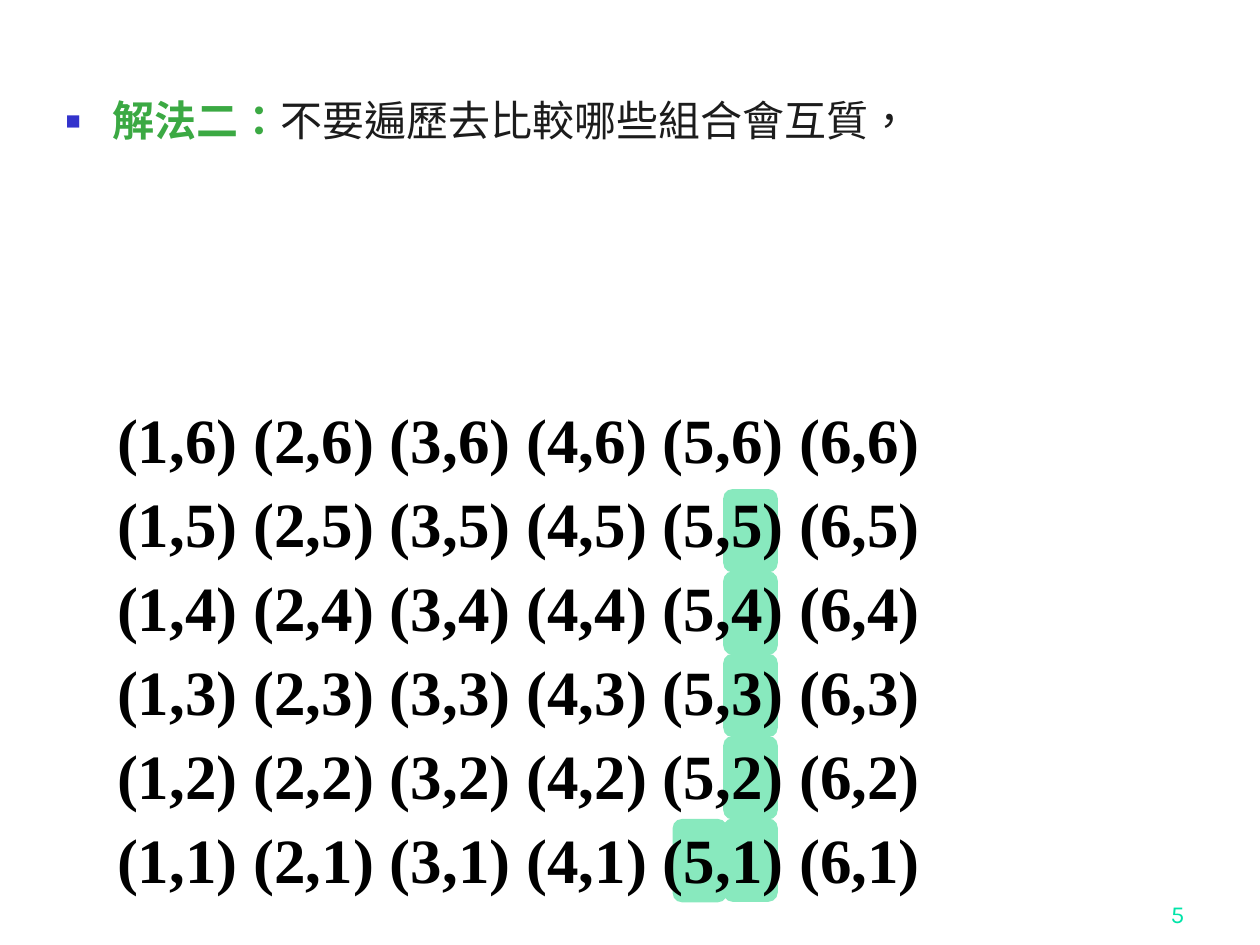
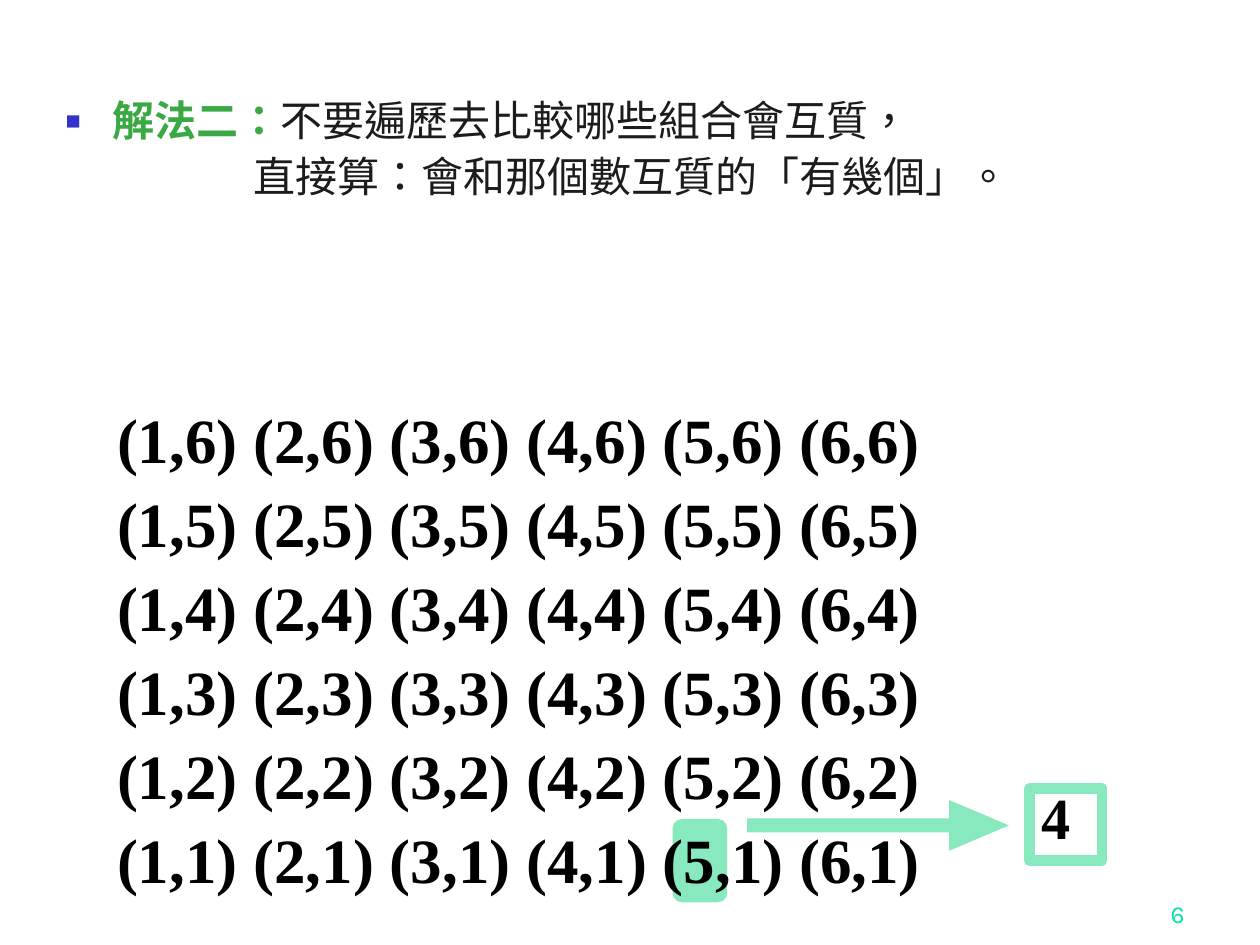
from lxml.etree import SubElement
from pptx import Presentation
from pptx.dml.color import RGBColor
from pptx.enum.lang import MSO_LANGUAGE_ID
from pptx.enum.shapes import MSO_SHAPE
from pptx.enum.text import MSO_ANCHOR, MSO_AUTO_SIZE, PP_ALIGN
from pptx.oxml.ns import qn
from pptx.util import Cm, Pt

# Content
COLOURS = {"mint": "88E9BE", "number": "00E4A8", "label": "3BA943",
           "text": "1C1C1C", "black": "000000", "bullet": "3333CC"}
LABEL = "解法二："
IDEA = "不要遍歷去比較哪些組合會互質，"
SIDES = range(1, 7)
PAIR_ROWS = [" ".join(f"({first},{second})" for first in SIDES)
             for second in reversed(SIDES)]
PAGES = [
    {"number": "5", "tested": 5},
    {"number": "6", "tested": 0, "answer": "4",
     "conclusion": "直接算：會和那個數互質的「有幾個」。"},
]

# Places in centimetres: left, top, width, height
BODY = (1.07, 1.9, 22.43, 15.62)
PAIRS = (2.11, 8.13, 17.2, 10.41)
NUMBER = (18.85, 17.58, 5.28, 1.27)
ARROW = (15.06, 16.13, 5.28, 1.02)
ANSWER = (20.75, 15.9, 1.47, 1.45)
CHOSEN_FIVE = (13.56, 16.51)
TESTED_TOP = (14.58, 9.86)
TESTED_STEP = 1.66
MARK_SIZE = (1.1, 1.68)

# Text formats
SERIF = "Times New Roman"
CHINESE = {"name": SERIF, "size": Pt(24),
           "language_id": MSO_LANGUAGE_ID.TRADITIONAL_CHINESE}
LABEL_FONT = {**CHINESE, "bold": True, "colour": "label"}
IDEA_FONT = {**CHINESE, "bold": False, "colour": "text"}
PAIR_FONT = {"name": SERIF, "size": Pt(36), "bold": True, "colour": "black"}
ANSWER_FONT = {**PAIR_FONT, "size": Pt(33.3)}
NUMBER_FONT = {"name": "Karla", "size": Pt(14), "colour": "number"}


def rgb(name):
    return RGBColor.from_string(COLOURS[name])


def lengths(place):
    return [Cm(value) for value in place]


def set_values(target, **values):
    for name, value in values.items():
        setattr(target, name, value)


def add_span(para, text, font):
    span = para.add_run()
    span.text = text
    for name, value in font.items():
        if name == "colour":
            span.font.color.rgb = rgb(value)
        else:
            setattr(span.font, name, value)


def next_para(frame, position, space):
    """Return the paragraph at a position, spaced from the one before."""
    if position == 0:
        return frame.paragraphs[0]
    para = frame.add_paragraph()
    para.space_before = Pt(space)
    return para


def set_bullet(para, left, hanging, character=None):
    properties = para._p.get_or_add_pPr()
    properties.set("marL", str(Cm(left)))
    properties.set("indent", str(-Cm(hanging)))
    if character is None:
        SubElement(properties, qn("a:buNone"))
        return
    colour = SubElement(properties, qn("a:buClr"))
    SubElement(colour, qn("a:srgbClr"), val=COLOURS["bullet"])
    SubElement(properties, qn("a:buSzPct"), val="60000")
    SubElement(properties, qn("a:buChar"), char=character)


def add_mint_shape(page, kind, place, *adjustments):
    shape = page.shapes.add_shape(kind, *lengths(place))
    shape.shadow.inherit = False
    shape.fill.solid()
    shape.fill.fore_color.rgb = rgb("mint")
    shape.line.fill.background()
    for position, value in enumerate(adjustments):
        shape.adjustments[position] = value
    return shape


def add_mark(page, left, top):
    add_mint_shape(page, MSO_SHAPE.ROUNDED_RECTANGLE,
                   (left, top, *MARK_SIZE), 0.17)


def add_number(page, number):
    box = page.shapes.add_textbox(*lengths(NUMBER))
    set_values(box.text_frame, word_wrap=True,
               vertical_anchor=MSO_ANCHOR.BOTTOM)
    para = box.text_frame.paragraphs[0]
    para.alignment = PP_ALIGN.RIGHT
    add_span(para, number, NUMBER_FONT)


def fill_body(page, conclusion):
    body = page.placeholders[1]
    left, top, width, height = lengths(BODY)
    set_values(body, left=left, top=top, width=width, height=height)
    frame = body.text_frame
    set_values(frame, auto_size=MSO_AUTO_SIZE.NONE,
               vertical_anchor=MSO_ANCHOR.TOP)
    para = next_para(frame, 0, 6)
    set_bullet(para, 0.95, 0.95, "■")
    set_values(para, line_spacing=0.9, space_before=Pt(0))
    add_span(para, LABEL, LABEL_FONT)
    add_span(para, IDEA, IDEA_FONT)
    if conclusion:
        para = next_para(frame, 1, 6)
        set_bullet(para, 3.78, 0)
        para.line_spacing = 0.9
        add_span(para, conclusion, IDEA_FONT)
    # Bring the body in front of the marks
    page.shapes._spTree.append(body._element)


def add_pairs(page):
    box = page.shapes.add_textbox(*lengths(PAIRS))
    box.text_frame.word_wrap = True
    for position, row in enumerate(PAIR_ROWS):
        para = next_para(box.text_frame, position, 9)
        para.line_spacing = 0.9
        add_span(para, row, PAIR_FONT)


def add_answer(page, answer):
    add_mint_shape(page, MSO_SHAPE.RIGHT_ARROW, ARROW, 0.28, 1.18)
    box = add_mint_shape(page, MSO_SHAPE.RECTANGLE, ANSWER)
    box.fill.background()
    box.line.color.rgb = rgb("mint")
    box.line.width = Pt(6)
    box.text_frame.vertical_anchor = MSO_ANCHOR.TOP
    para = box.text_frame.paragraphs[0]
    set_values(para, alignment=PP_ALIGN.LEFT, line_spacing=0.8)
    add_span(para, answer, ANSWER_FONT)


def build_page(deck, content):
    page = deck.slides.add_slide(deck.slide_layouts[1])
    title = page.shapes.title._element
    title.getparent().remove(title)
    # Marks on the chosen number and the numbers tested against it
    add_mark(page, *CHOSEN_FIVE)
    left, top = TESTED_TOP
    for position in range(content["tested"]):
        add_mark(page, left, top + position * TESTED_STEP)
    add_number(page, content["number"])
    fill_body(page, content.get("conclusion"))
    add_pairs(page)
    if "answer" in content:
        add_answer(page, content["answer"])


def main():
    deck = Presentation()
    set_values(deck, slide_width=Cm(25.4), slide_height=Cm(19.05))
    for content in PAGES:
        build_page(deck, content)
    deck.save("out.pptx")


if __name__ == "__main__":
    main()
